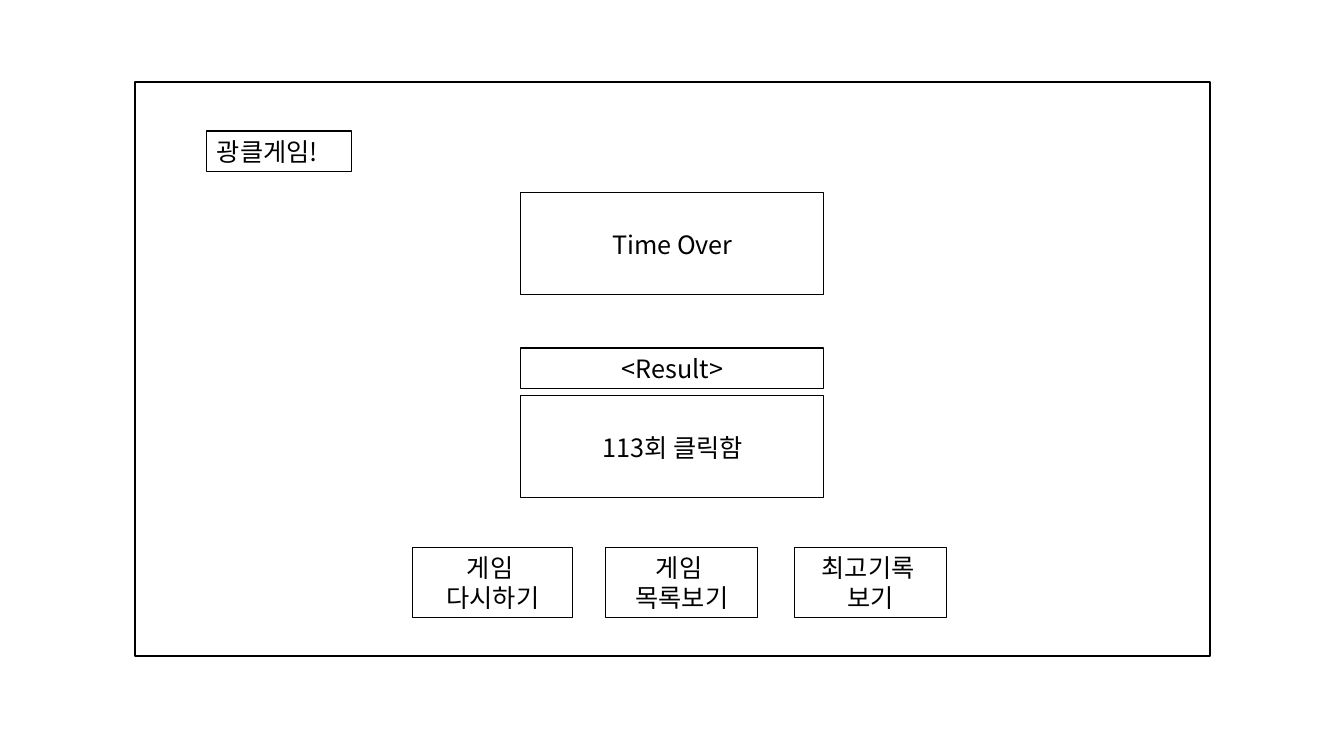
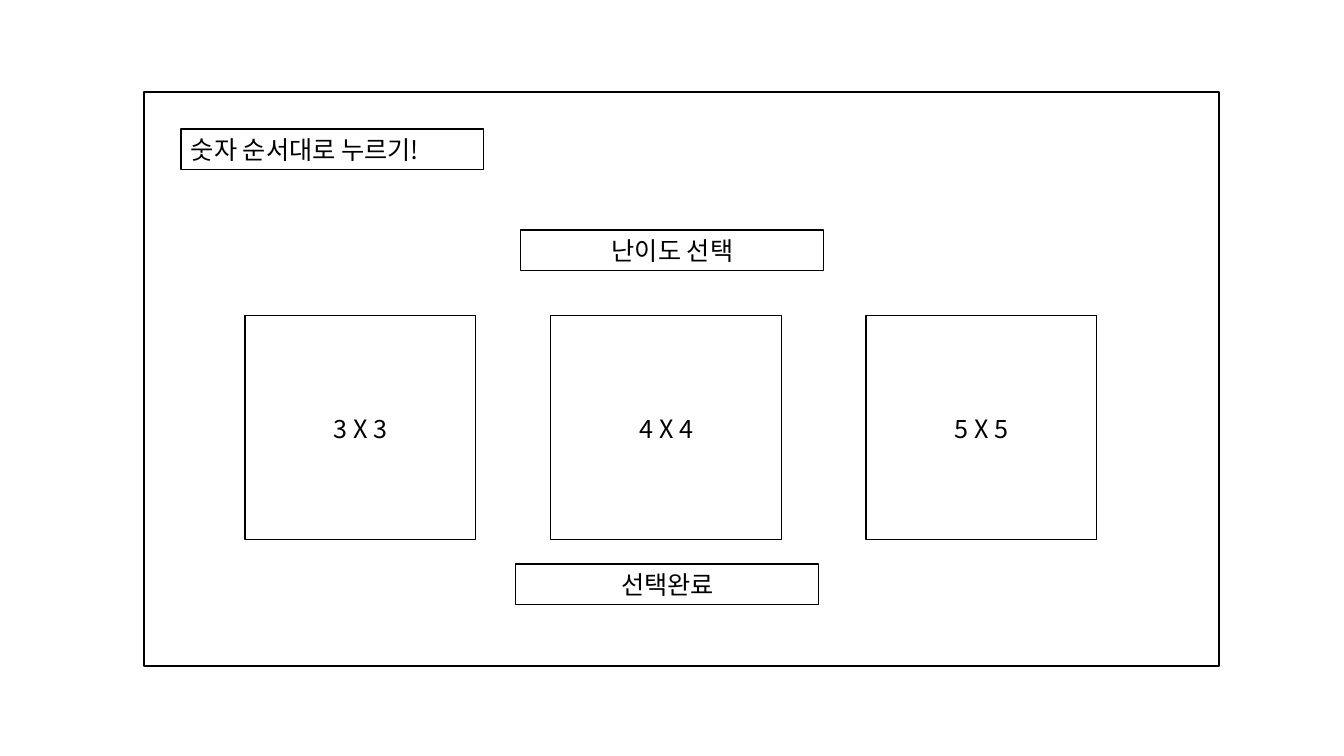
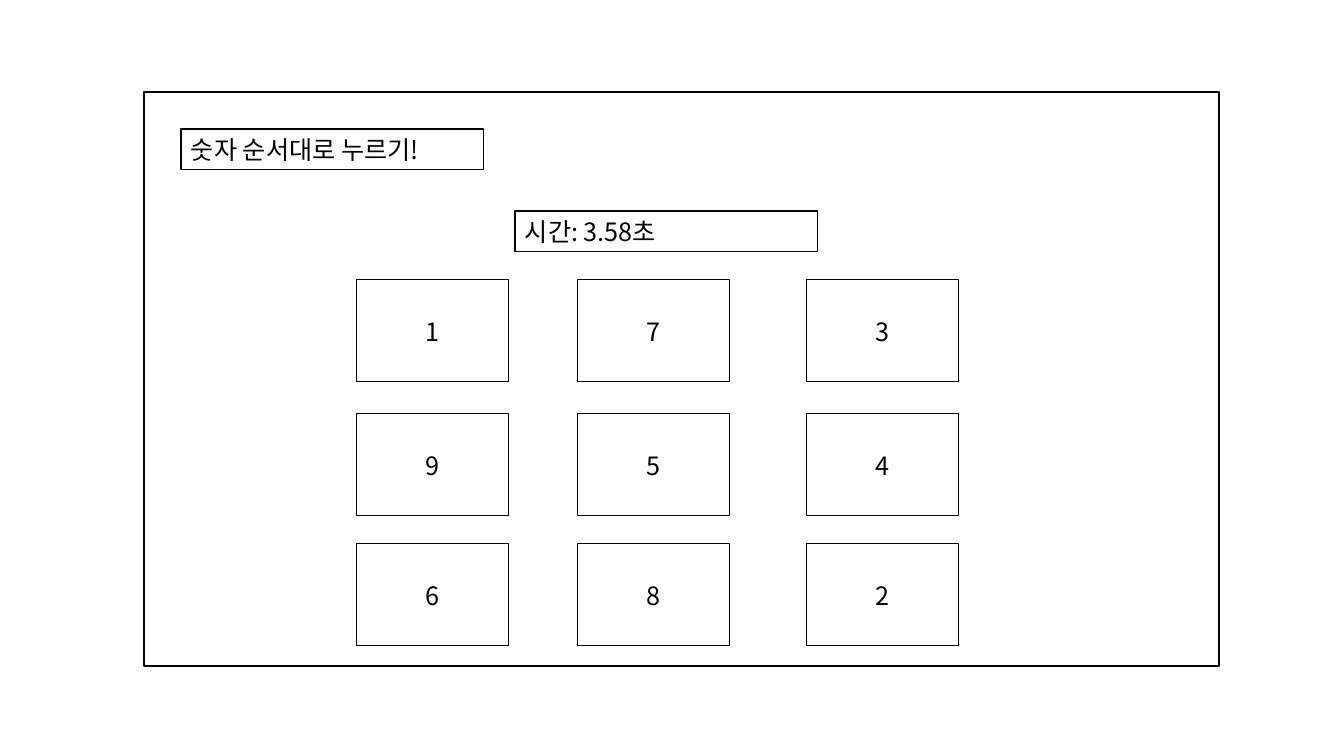
from pptx import Presentation
from pptx.dml.color import RGBColor
from pptx.enum.shapes import MSO_SHAPE
from pptx.enum.text import MSO_ANCHOR, PP_ALIGN
from pptx.oxml.ns import qn
from pptx.util import Pt
from lxml.etree import SubElement

SCALE = 12192000 / 1344
FONT = "Noto Sans CJK KR"
COLORS = {"ink": "000000", "paper": "FFFFFF"}
INK = RGBColor.from_string(COLORS["ink"])
PAPER = RGBColor.from_string(COLORS["paper"])

deck = Presentation()
deck.slide_width = round(1344 * SCALE)
deck.slide_height = round(756 * SCALE)


def add_page(left, top):
    page = deck.slides.add_slide(deck.slide_layouts[6])
    place = [round(n * SCALE) for n in (left, top, 1075, 574)]
    frame = page.shapes.add_shape(MSO_SHAPE.RECTANGLE, *place)
    frame.shadow.inherit = False
    frame.fill.solid()
    frame.fill.fore_color.rgb = PAPER
    frame.line.color.rgb = INK
    frame.line.width = Pt(1)
    return page


def add_label(page, text, left, top, width, height, align=PP_ALIGN.CENTER):
    place = [round(n * SCALE) for n in (left, top, width, height)]
    label = page.shapes.add_textbox(*place)
    label.line.color.rgb = INK
    label.line.width = Pt(0.75)
    frame = label.text_frame
    frame.word_wrap = True
    frame.vertical_anchor = MSO_ANCHOR.MIDDLE
    frame.text = text
    for para in frame.paragraphs:
        para.alignment = align
        for run in para.runs:
            run.font.size = Pt(18)
            run.font.name = FONT
            run.font.color.rgb = INK
            SubElement(run.font._element, qn("a:ea"), typeface=FONT)


BAR = (303, 41)
PANEL = (303, 102)

result = add_page(135, 82)
add_label(result, "광클게임!", 207, 131, 145, 41, PP_ALIGN.LEFT)
add_label(result, "Time Over", 521, 193, *PANEL)
add_label(result, "<Result>", 521, 348, *BAR)
add_label(result, "113회 클릭함", 521, 396, *PANEL)
buttons = [
    ("게임 \n다시하기", 413, 160),
    ("게임 \n목록보기", 606, 152),
    ("최고기록 \n보기", 795, 152),
]
for text, left, width in buttons:
    add_label(result, text, left, 547, width, 71)

levels, board = [add_page(144, 92) for step in range(2)]
for page in (levels, board):
    add_label(page, "숫자 순서대로 누르기!", 181, 129, *BAR, PP_ALIGN.LEFT)

add_label(levels, "난이도 선택", 521, 230, *BAR)
for size, left in zip((3, 4, 5), (245, 551, 866)):
    add_label(levels, f"{size} X {size}", left, 316, 231, 224)
add_label(levels, "선택완료", 516, 564, *BAR)

add_label(board, "시간: 3.58초", 515, 211, *BAR, PP_ALIGN.LEFT)
for row, top in zip(("173", "954", "682"), (280, 414, 544)):
    for digit, left in zip(row, (357, 578, 807)):
        add_label(board, digit, left, top, 152, 102)

deck.save("out.pptx")
